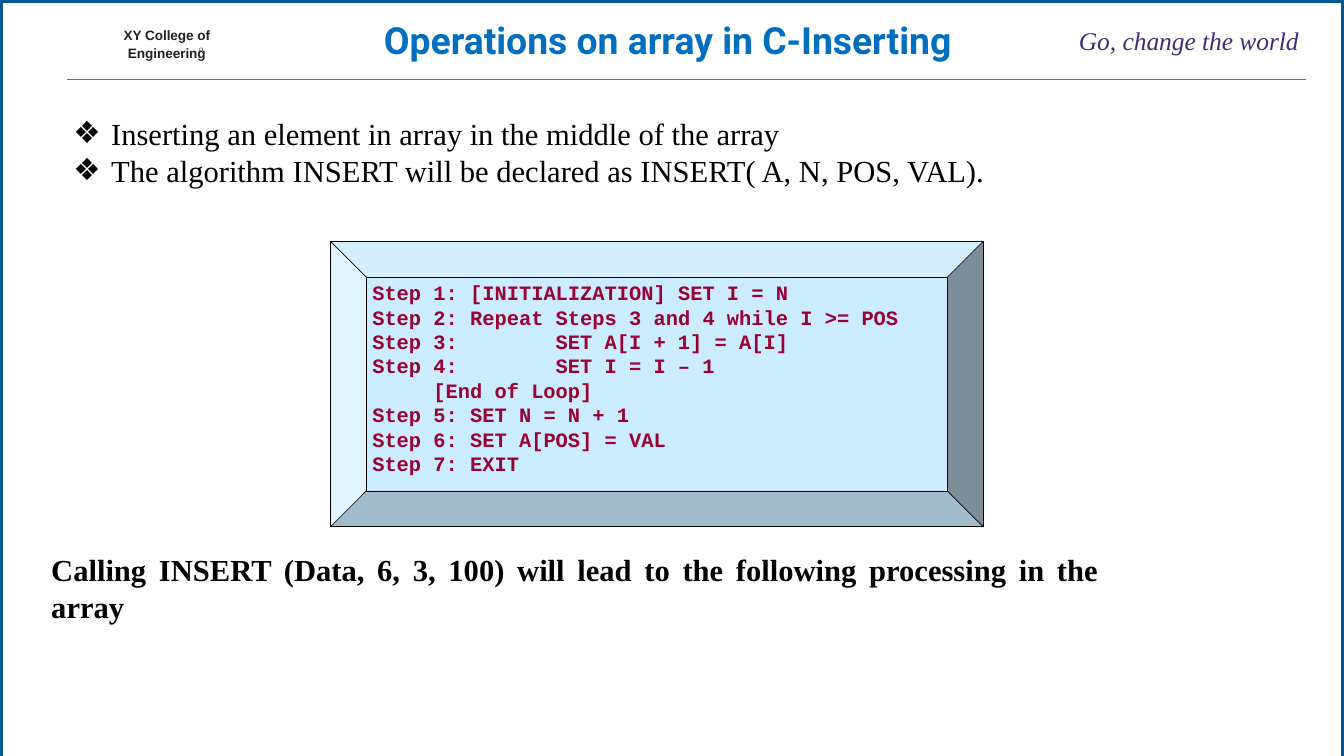
from dataclasses import dataclass

from lxml import etree
from pptx import Presentation
from pptx import util as u
from pptx.dml.color import RGBColor
from pptx.enum import shapes, text
from pptx.oxml import ns

# The page measures a whole number of points
PAGE_WIDTH, PAGE_HEIGHT = u.Pt(1583), u.Pt(890)
SERIF = "Times New Roman"
INK = "221F1F"


@dataclass(frozen=True)
class Font:
    name: str
    size: float
    color: str
    bold: bool = False
    italic: bool = False
    spacing: int = 0  # hundredths of a point


@dataclass(frozen=True)
class TextBlock:
    left: float
    top: float
    width: float
    height: float
    font: Font
    lines: tuple[str, ...]
    align: text.PP_ALIGN = text.PP_ALIGN.LEFT
    header: bool = False
    bullet: str = ""
    line_spacing: float = 1.0
    tab_stops: tuple[float, ...] = ()


def rgb(value: str) -> RGBColor:
    return RGBColor.from_string(value)


def set_line(shape, color: str, width: float) -> None:
    shape.line.color.rgb = rgb(color)
    shape.line.width = u.Pt(width)


def add_run(paragraph, content: str, font: Font) -> None:
    run = paragraph.add_run()
    run.text = content
    run.font.name = font.name
    run.font.size = u.Pt(font.size)
    run.font.bold = font.bold
    run.font.italic = font.italic
    run.font.color.rgb = rgb(font.color)
    if font.spacing:
        run.font._element.set("spc", str(font.spacing))


def add_bullet(paragraph, character: str, indent: float) -> None:
    properties = paragraph._p.get_or_add_pPr()
    properties.set("marL", str(u.Inches(indent)))
    properties.set("indent", str(-u.Inches(indent)))
    etree.SubElement(properties, ns.qn("a:buFont")).set("typeface", "Arial")
    etree.SubElement(properties, ns.qn("a:buChar")).set("char", character)


def add_tab_stops(paragraph, stops: tuple[float, ...]) -> None:
    properties = paragraph._p.get_or_add_pPr()
    tab_list = etree.SubElement(properties, ns.qn("a:tabLst"))
    for stop in stops:
        etree.SubElement(tab_list, ns.qn("a:tab"), pos=str(u.Inches(stop)), algn="l")


def fill_text(frame, block: TextBlock) -> None:
    frame.word_wrap = True
    frame.vertical_anchor = text.MSO_ANCHOR.TOP
    if block.header:
        frame.margin_left = frame.margin_top = u.Inches(0.01)
        frame.margin_right = frame.margin_bottom = 0
    for index, line in enumerate(block.lines):
        paragraph = frame.add_paragraph() if index else frame.paragraphs[0]
        paragraph.alignment = block.align
        paragraph.line_spacing = block.line_spacing
        paragraph.space_before = u.Pt(1 if block.header else 0)
        if block.bullet:
            add_bullet(paragraph, block.bullet, 0.62)
        if block.tab_stops:
            add_tab_stops(paragraph, block.tab_stops)
        add_run(paragraph, line, block.font)


def box(block: TextBlock) -> tuple[int, ...]:
    return tuple(u.Inches(v) for v in (block.left, block.top, block.width, block.height))


def add_text(slide, block: TextBlock) -> None:
    fill_text(slide.shapes.add_textbox(*box(block)).text_frame, block)


def add_frame(slide) -> None:
    builder = slide.shapes.build_freeform(PAGE_WIDTH, PAGE_HEIGHT)
    builder.add_line_segments([(PAGE_WIDTH, 0), (0, 0), (0, PAGE_HEIGHT)], close=False)
    frame = builder.convert_to_shape()
    frame.shadow.inherit = False
    frame.fill.background()
    set_line(frame, "005792", 6)


def add_header_rule(slide) -> None:
    rule = slide.shapes.add_connector(
        shapes.MSO_CONNECTOR.STRAIGHT,
        u.Inches(1.1), u.Inches(1.3), u.Inches(21.36), u.Inches(1.3))
    set_line(rule, "5E6CB3", 1.23)
    etree.SubElement(rule._element.spPr, ns.qn("a:effectLst"))


def add_name_mark(slide) -> None:
    mark = slide.shapes.add_shape(
        shapes.MSO_SHAPE.DONUT,
        u.Inches(3.26), u.Inches(0.78), u.Inches(0.06), u.Inches(0.06))
    mark.adjustments[0] = 0.1
    mark.shadow.inherit = False
    mark.fill.solid()
    mark.fill.fore_color.rgb = rgb(INK)
    mark.line.fill.background()


def add_algorithm(slide, block: TextBlock) -> None:
    panel = slide.shapes.add_shape(shapes.MSO_SHAPE.BEVEL, *box(block))
    panel.adjustments[0] = 0.125
    panel.shadow.inherit = False
    panel.fill.solid()
    panel.fill.fore_color.rgb = rgb("CCECFF")
    set_line(panel, "000000", 0.75)
    fill_text(panel.text_frame, block)


COLLEGE = TextBlock(
    1.99, 0.41, 1.47, 0.61, Font("Arial", 16, INK, bold=True, spacing=-5),
    ("XY College of Engineering",), text.PP_ALIGN.CENTER, header=True, line_spacing=1.09)
MOTTO = TextBlock(
    17.64, 0.4, 3.63, 0.53, Font(SERIF, 30, "422C75", italic=True, spacing=-5),
    ("Go, change the world",), header=True)
TITLE = TextBlock(
    3.91, 0.27, 14.17, 2.24, Font("Roboto", 44, "006FC0", bold=True, spacing=-5),
    ("Operations on array in C-Inserting ",), text.PP_ALIGN.CENTER, header=True)
POINTS = TextBlock(
    1.1, 1.83, 21.31, 1.92, Font(SERIF, 36, "000000"),
    ("Inserting an element in array in the middle of the array",
     "The algorithm INSERT will be declared as INSERT( A, N, POS, VAL)."), bullet="❖")
ALGORITHM = TextBlock(
    5.41, 3.95, 10.67, 4.66, Font("Courier New", 24, "990033", bold=True),
    ("Step 1: [INITIALIZATION] SET I = N",
     "Step 2: Repeat Steps 3 and 4 while I >= POS",
     "Step 3: \t\tSET A[I + 1] = A[I]",
     "Step 4: \t\tSET I = I – 1",
     "\t[End of Loop]",
     "Step 5: SET N = N + 1",
     "Step 6: SET A[POS] = VAL",
     "Step 7: EXIT"), tab_stops=(1, 2, 3))
CALL = TextBlock(
    0.74, 8.96, 17.33, 1.31, Font(SERIF, 36, "000000", bold=True),
    ("Calling INSERT (Data, 6, 3, 100) will lead to the following processing in the array",),
    text.PP_ALIGN.JUSTIFY)


def main() -> None:
    presentation = Presentation()
    presentation.slide_width = PAGE_WIDTH
    presentation.slide_height = PAGE_HEIGHT
    slide = presentation.slides.add_slide(presentation.slide_layouts[6])

    # Page frame and header
    add_frame(slide)
    add_header_rule(slide)
    add_name_mark(slide)
    for block in (COLLEGE, MOTTO, TITLE):
        add_text(slide, block)

    # Body
    add_text(slide, POINTS)
    add_algorithm(slide, ALGORITHM)
    add_text(slide, CALL)

    presentation.save("out.pptx")


if __name__ == "__main__":
    main()
